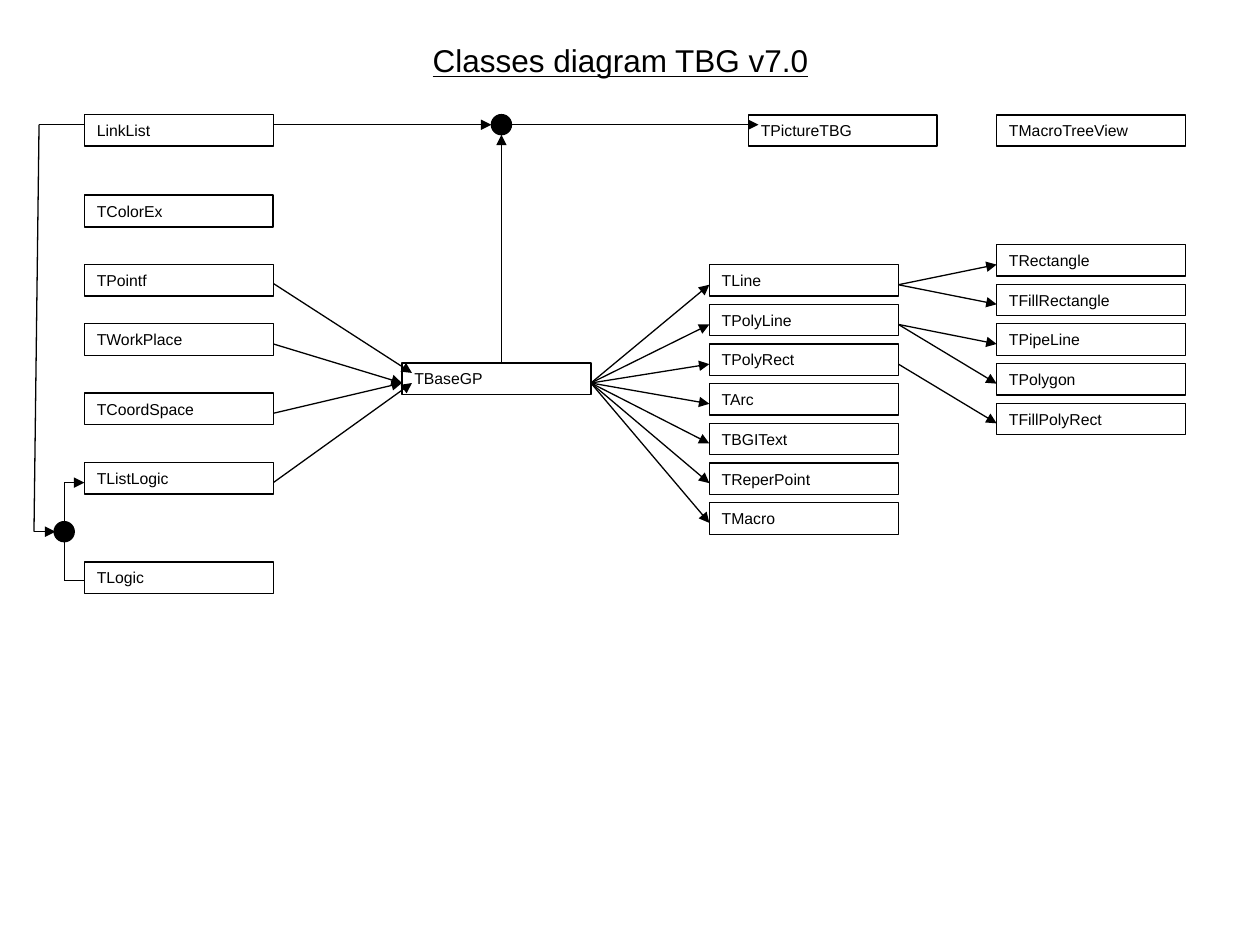
from dataclasses import dataclass

from lxml import etree
from pptx import Presentation
from pptx.dml.color import RGBColor
from pptx.enum.shapes import MSO_CONNECTOR, MSO_SHAPE
from pptx.enum.text import MSO_ANCHOR, MSO_AUTO_SIZE, PP_ALIGN
from pptx.oxml.ns import qn
from pptx.util import Inches, Pt

RECTANGLE = MSO_SHAPE.RECTANGLE
OVAL = MSO_SHAPE.OVAL
STRAIGHT = MSO_CONNECTOR.STRAIGHT
TOP = MSO_ANCHOR.TOP
FIT_SHAPE = MSO_AUTO_SIZE.SHAPE_TO_FIT_TEXT
LEFT = PP_ALIGN.LEFT
CENTER = PP_ALIGN.CENTER


@dataclass(frozen=True)
class Theme:
    ink: RGBColor = RGBColor(0, 0, 0)
    font: str = "Arial"
    title_size: float = 18
    label_size: float = 9
    line: float = 0.75
    heavy_line: float = 1


THEME = Theme()
BOX_WIDTH, BOX_HEIGHT = 1.5, 0.25
PORT_DROP = 0.16
DOT_SIZE = 0.16
SUPPORT_X, BASE_X, PICTURE_X, DERIVED_X, SPECIAL_X = 0.67, 3.19, 5.94, 5.63, 7.91

SUPPORT_TOPS = {
    "LinkList": 0.91,
    "TColorEx": 1.55,
    "TPointf": 2.1,
    "TWorkPlace": 2.57,
    "TCoordSpace": 3.12,
    "TListLogic": 3.67,
    "TLogic": 4.46,
}
DERIVED = ["TLine", "TPolyLine", "TPolyRect", "TArc", "TBGIText", "TReperPoint", "TMacro"]
SPECIAL = ["TRectangle", "TFillRectangle", "TPipeLine", "TPolygon", "TFillPolyRect"]
HEAVY = {"TColorEx", "TPictureTBG", "TMacroTreeView"}
INHERITANCE = [("TBaseGP", name) for name in DERIVED] + [
    ("TLine", "TRectangle"),
    ("TLine", "TFillRectangle"),
    ("TPolyLine", "TPipeLine"),
    ("TPolyLine", "TPolygon"),
    ("TPolyRect", "TFillPolyRect"),
    ("TWorkPlace", "TBaseGP"),
    ("TCoordSpace", "TBaseGP"),
]
DOTS = [(0.43, 4.14), (3.9, 0.91)]
ARROWS = [
    ((2.17, 2.25), (3.27, 2.96)),
    ((2.17, 3.83), (3.27, 3.04)),
    ((0.51, 3.83), (0.67, 3.83)),
    ((2.17, 0.99), (3.9, 0.99)),
    ((4.06, 0.99), (6.02, 0.99)),
    ((3.98, 2.88), (3.98, 1.07)),
    ((0.27, 4.22), (0.44, 4.22)),
]
PLAIN_LINES = [
    ((0.51, 4.61), (0.67, 4.61)),
    ((0.51, 4.61), (0.51, 3.83)),
    ((0.31, 0.99), (0.67, 0.99)),
    ((0.31, 0.99), (0.27, 4.22)),
]


def column(names, left, first, last):
    step = (last - first) / (len(names) - 1)
    return {name: (left, first + row * step) for row, name in enumerate(names)}


def class_positions():
    return {
        **{name: (SUPPORT_X, top) for name, top in SUPPORT_TOPS.items()},
        "TBaseGP": (BASE_X, 2.88),
        "TPictureTBG": (PICTURE_X, 0.91),
        "TMacroTreeView": (SPECIAL_X, 0.91),
        **column(DERIVED, DERIVED_X, 2.1, 3.99),
        **column(SPECIAL, SPECIAL_X, 1.94, 3.2),
    }


def apply_format(target, values):
    for name, value in values.items():
        setattr(target, name, value)


def write_text(shape, text, size, alignment, underline=False):
    frame = shape.text_frame
    apply_format(frame, {
        "word_wrap": True,
        "auto_size": FIT_SHAPE,
        "vertical_anchor": TOP,
        "margin_left": Inches(0.1),
        "margin_right": Inches(0.1),
        "margin_top": Inches(0.05),
        "margin_bottom": Inches(0.05),
    })
    paragraph = frame.paragraphs[0]
    paragraph.alignment = alignment
    run = paragraph.add_run()
    run.text = text
    apply_format(run.font, {"name": THEME.font, "size": Pt(size), "underline": underline})
    run.font.color.rgb = THEME.ink


def set_line(line, width):
    line.color.rgb = THEME.ink
    line.width = Pt(width)


def add_title(slide, text):
    shape = slide.shapes.add_textbox(Inches(2.64), Inches(0.28), Inches(4.57), Inches(0.4))
    write_text(shape, text, THEME.title_size, CENTER, underline=True)


def add_class_box(slide, name, left, top):
    shape = slide.shapes.add_shape(
        RECTANGLE, Inches(left), Inches(top), Inches(BOX_WIDTH), Inches(BOX_HEIGHT))
    shape.shadow.inherit = False
    shape.fill.background()
    set_line(shape.line, THEME.heavy_line if name in HEAVY else THEME.line)
    write_text(shape, name, THEME.label_size, LEFT)


def add_dot(slide, left, top):
    shape = slide.shapes.add_shape(
        OVAL, Inches(left), Inches(top), Inches(DOT_SIZE), Inches(DOT_SIZE))
    shape.shadow.inherit = False
    shape.fill.solid()
    shape.fill.fore_color.rgb = THEME.ink
    set_line(shape.line, THEME.line)


def add_line(slide, start, end, arrow=False):
    points = [Inches(value) for value in (*start, *end)]
    connector = slide.shapes.add_connector(STRAIGHT, *points)
    set_line(connector.line, THEME.line)
    properties = connector.element.spPr
    if arrow:
        etree.SubElement(properties.find(qn("a:ln")), qn("a:tailEnd"), type="triangle")
    etree.SubElement(properties, qn("a:effectLst"))


def add_inheritance(slide, positions, parent, child):
    parent_left, parent_top = positions[parent]
    child_left, child_top = positions[child]
    start = (parent_left + BOX_WIDTH, parent_top + PORT_DROP)
    add_line(slide, start, (child_left, child_top + PORT_DROP), arrow=True)


def main():
    presentation = Presentation()
    presentation.slide_width = Inches(10)
    presentation.slide_height = Inches(7.5)
    slide = presentation.slides.add_slide(presentation.slide_layouts[6])
    positions = class_positions()

    add_title(slide, "Classes diagram TBG v7.0")
    for name, (left, top) in positions.items():
        add_class_box(slide, name, left, top)
    for parent, child in INHERITANCE:
        add_inheritance(slide, positions, parent, child)
    for start, end in ARROWS:
        add_line(slide, start, end, arrow=True)
    for start, end in PLAIN_LINES:
        add_line(slide, start, end)
    for left, top in DOTS:
        add_dot(slide, left, top)

    presentation.save("out.pptx")


if __name__ == "__main__":
    main()
